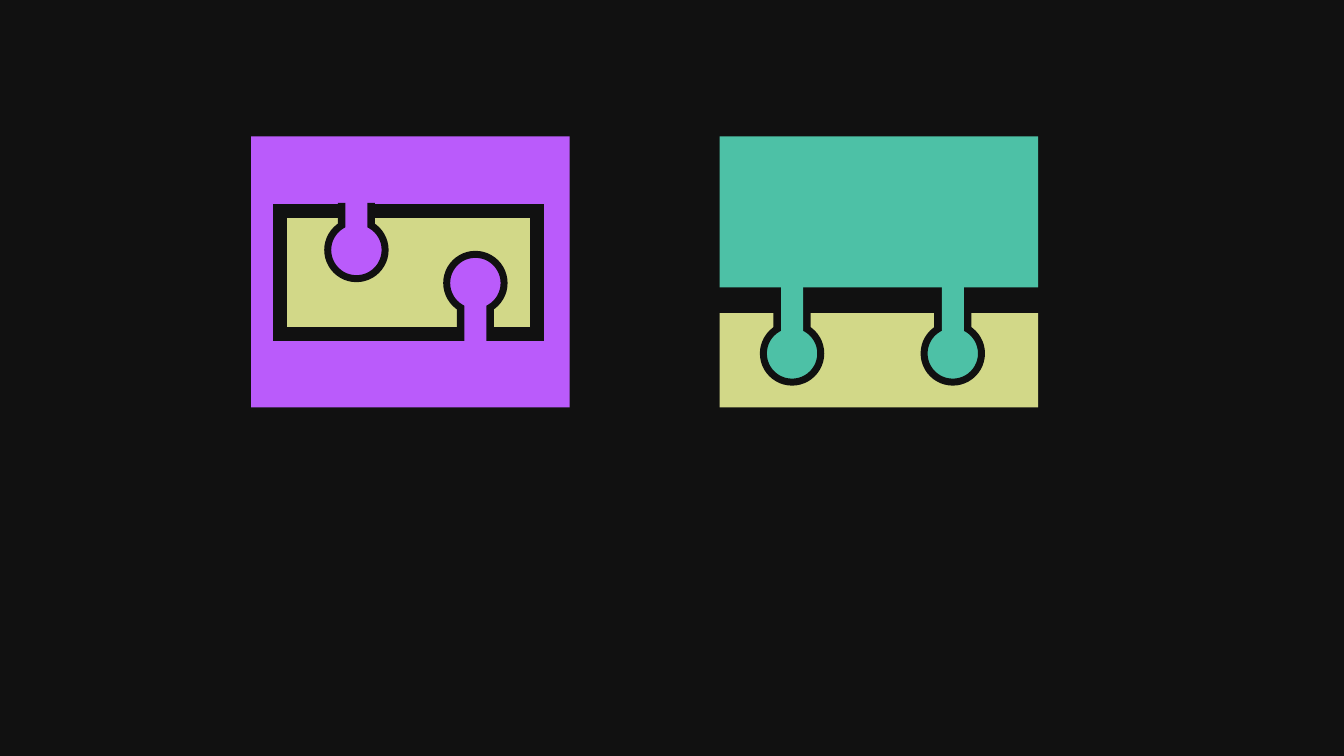
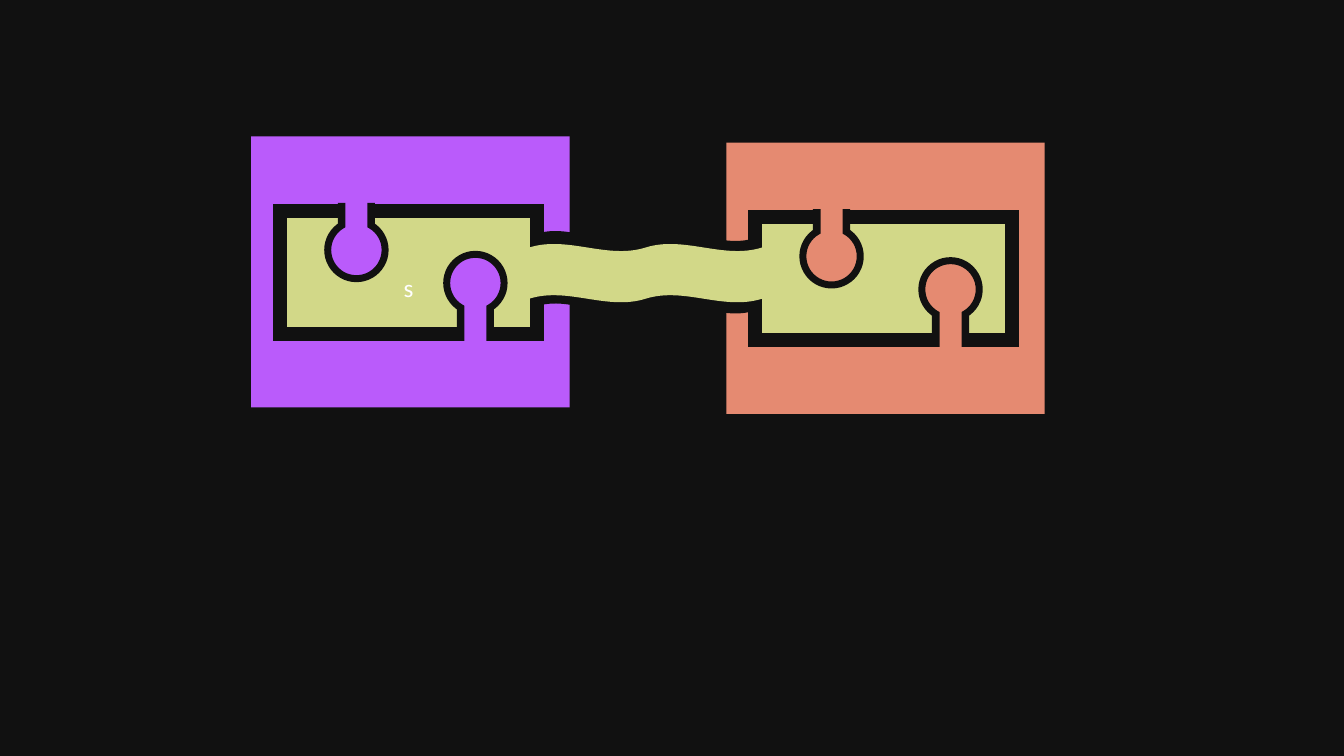
from lxml import etree
from pptx import Presentation
from pptx.dml.color import RGBColor
from pptx.enum.shapes import MSO_SHAPE
from pptx.enum.text import MSO_ANCHOR, PP_ALIGN
from pptx.oxml.ns import qn
from pptx.util import Pt

RECT, OVAL, WAVE = MSO_SHAPE.RECTANGLE, MSO_SHAPE.OVAL, MSO_SHAPE.DOUBLE_WAVE
MIDDLE, CENTER = MSO_ANCHOR.MIDDLE, PP_ALIGN.CENTER

DARK, PURPLE, GREEN = "111111", "BA5BFB", "D2D888"
TEAL, CORAL, WHITE = "4DC1A6", "E58A71", "FFFFFF"

# Sizes shared by all blocks, in points
PANEL_W, PANEL_H = 227.5, 193.7
KNOB, KNOB_LINE = 41, 5
NECK_W = 26.6
STEM_W, STEM_H = 15.8, 77
LEFT_BLOCK = (179.4, 97.4)


def color(value):
    return RGBColor.from_string(value)


def add_slide(prs):
    s = prs.slides.add_slide(prs.slide_layouts[6])
    s.background.fill.solid()
    s.background.fill.fore_color.rgb = color(DARK)
    return s


def add_box(s, x, y, w, h, fill, kind=RECT, line=0):
    sp = s.shapes.add_shape(kind, Pt(x), Pt(y), Pt(w), Pt(h))
    sp.shadow.inherit = False
    sp.fill.solid()
    sp.fill.fore_color.rgb = color(fill)
    if line:
        sp.line.color.rgb = color(DARK)
        sp.line.width = Pt(line)
        # Square corners on the outline
        ln = sp._element.spPr.find(qn("a:ln"))
        etree.SubElement(ln, qn("a:miter")).set("lim", "800000")
    else:
        sp.line.fill.background()
    return sp


def add_text(sp, text, size=18, font="Calibri", fill=WHITE, top=3.6):
    tf = sp.text_frame
    tf.margin_top = Pt(top)
    tf.vertical_anchor = MIDDLE
    p = tf.paragraphs[0]
    p.alignment = CENTER
    r = p.add_run()
    r.text = text
    r.font.size, r.font.name = Pt(size), font
    r.font.color.rgb = color(fill)


def add_neck(s, cx, y, h):
    add_box(s, cx - NECK_W / 2, y, NECK_W, h, DARK)


def add_knob(s, cx, cy, fill):
    add_box(s, cx - KNOB / 2, cy - KNOB / 2, KNOB, KNOB, fill, OVAL, KNOB_LINE)


def add_stem(s, cx, y, fill):
    add_box(s, cx - STEM_W / 2, y, STEM_W, STEM_H, fill)


def add_framed_block(s, x, y, fill):
    """Panel around a green core, with one knob from above and one from below."""
    add_box(s, x, y, PANEL_W, PANEL_H, fill)
    core = add_box(s, x + 20.6, y + 53.2, 183.6, 87.8, GREEN, line=10)
    upper, lower = x + 75.2, x + 160.2
    add_neck(s, upper, y + 47.5, 37.4)
    add_neck(s, lower, y + 106.6, 34.6)
    add_knob(s, upper, y + 81.2, fill)
    add_knob(s, lower, y + 104.8, fill)
    add_stem(s, upper, y + 17.3, fill)
    add_stem(s, lower, y + 108, fill)
    return core


def add_stacked_block(s, x, y, fill):
    """Upper panel plugged into a green base by two knobs."""
    centers = (x + 51.7, x + 166.5)
    add_box(s, x, y + 126.2, PANEL_W, 67.5, GREEN)
    for cx in centers:
        add_neck(s, cx, y + 94.8, 64.1)
        add_knob(s, cx, y + 155.1, fill)
    add_box(s, x, y, PANEL_W, 108, fill)
    for cx in centers:
        add_stem(s, cx, y + 91.2, fill)


def add_bridge(s):
    """Wavy green band with a dark edge."""
    add_box(s, 379.4, 164.9, 163.4, 59.2, DARK, WAVE)
    add_box(s, 378, 174.2, 166.3, 41.8, GREEN, WAVE)


def main():
    prs = Presentation()
    prs.slide_width, prs.slide_height = Pt(960), Pt(540)

    # Slide 1: framed and stacked blocks
    s = add_slide(prs)
    add_framed_block(s, *LEFT_BLOCK, PURPLE)
    add_stacked_block(s, 514.1, LEFT_BLOCK[1], TEAL)

    # Slide 2: two framed blocks joined by a bridge
    s = add_slide(prs)
    core = add_framed_block(s, *LEFT_BLOCK, PURPLE)
    add_text(core, "s", top=25.6)
    add_framed_block(s, 518.8, 101.9, CORAL)
    add_bridge(s)

    prs.save("out.pptx")


main()
